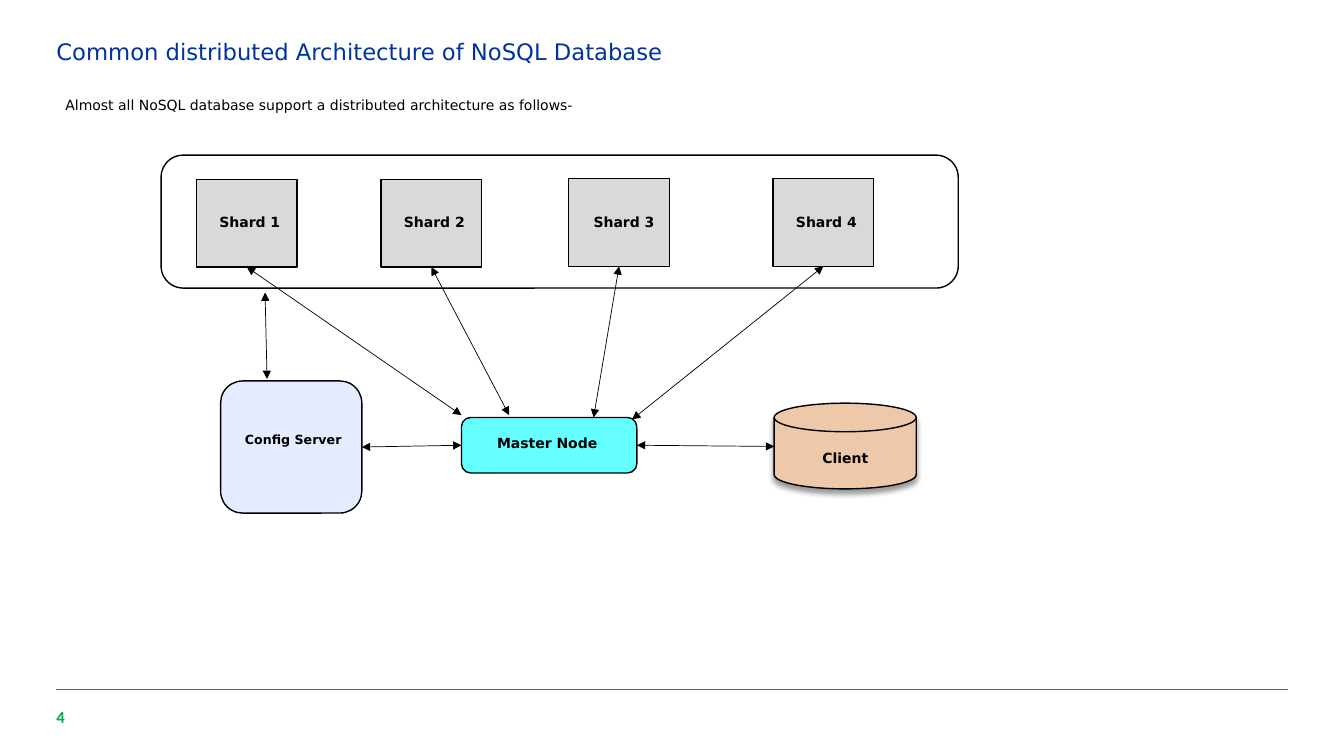
"""Builds the slide on the distributed architecture of NoSQL databases."""
from lxml import etree
from pptx import Presentation
from pptx import util as u
from pptx.dml.color import RGBColor
from pptx.enum import shapes, text
from pptx.oxml import ns

BLACK = RGBColor(0x00, 0x00, 0x00)
BLUE = RGBColor(0x00, 0x33, 0xA0)
GREEN = RGBColor(0x00, 0xB1, 0x40)
RULE = RGBColor(0x60, 0x60, 0x60)
GREY = RGBColor(0xD9, 0xD9, 0xD9)
PALE = RGBColor(0xE5, 0xEC, 0xFF)
CYAN = RGBColor(0x66, 0xFF, 0xFF)
PEACH = RGBColor(0xED, 0xC8, 0xA9)

ROUND = shapes.MSO_SHAPE.ROUNDED_RECTANGLE
BLOCK = shapes.MSO_SHAPE.FLOWCHART_PROCESS
DISK = shapes.MSO_SHAPE.FLOWCHART_MAGNETIC_DISK
LEFT = text.PP_ALIGN.LEFT
MID = text.PP_ALIGN.CENTER


class Board:
    """Holds the style and the current slide."""

    def __init__(self, deck):
        self.font = "DejaVu Sans"
        self.slide = deck.slides.add_slide(deck.slide_layouts[5])
        self.items = self.slide.shapes

    def group(self):
        self.items = self.slide.shapes.add_group_shape().shapes

    def place(self, item, box):
        item.left, item.top, item.width, item.height = map(u.Cm, box)

    def fill_text(self, item, words, size, color=BLACK, bold=False, align=LEFT, font=None):
        frame = item.text_frame
        frame.word_wrap = True
        frame.auto_size = text.MSO_AUTO_SIZE.NONE
        line = frame.paragraphs[0]
        line.text = words
        line.alignment = align
        line.font.name = font or self.font
        line.font.size = u.Pt(size)
        line.font.bold = bold
        line.font.color.rgb = color
        return frame

    def bare(self, frame, anchor):
        frame.margin_left = frame.margin_right = 0
        frame.margin_top = frame.margin_bottom = 0
        frame.vertical_anchor = anchor

    def title(self, words, box):
        item = self.slide.shapes.title
        self.place(item, box)
        frame = self.fill_text(item, words, 16.2, BLUE)
        frame.paragraphs[0].line_spacing = 0.9
        self.bare(frame, text.MSO_ANCHOR.TOP)

    def label(self, words, box, size=10, **style):
        item = self.items.add_textbox(*map(u.Cm, box))
        return self.fill_text(item, words, size, **style)

    def shape(self, kind, box, fill=None):
        item = self.items.add_shape(kind, *map(u.Cm, box))
        item.shadow.inherit = False
        if fill is None:
            item.fill.background()
        else:
            item.fill.solid()
            item.fill.fore_color.rgb = fill
        item.line.color.rgb = BLACK
        item.line.width = u.Pt(1)
        return item

    def shade(self, item):
        effects = item._element.spPr.find(ns.qn("a:effectLst"))
        outer = etree.SubElement(effects, ns.qn("a:outerShdw"), blurRad=str(u.Pt(4)),
                                 dist=str(u.Pt(3)), dir="5400000", rotWithShape="0")
        color = etree.SubElement(outer, ns.qn("a:srgbClr"), val=str(BLACK))
        etree.SubElement(color, ns.qn("a:alpha"), val="40000")

    def line(self, start, end, color=BLACK):
        item = self.items.add_connector(
            shapes.MSO_CONNECTOR.STRAIGHT, *map(u.Cm, start + end))
        item.line.color.rgb = color
        item.line.width = u.Pt(0.5)
        etree.SubElement(item._element.spPr, ns.qn("a:effectLst"))
        return item

    def arrow(self, start, end, tail=None, head=None):
        item = self.line(start, end)
        stroke = item._element.spPr.find(ns.qn("a:ln"))
        for tag in ("a:headEnd", "a:tailEnd"):
            etree.SubElement(stroke, ns.qn(tag), type="triangle")
        if tail:
            item.begin_connect(*tail)
        if head:
            item.end_connect(*head)


def main():
    deck = Presentation()
    deck.slide_width, deck.slide_height = u.Cm(33.87), u.Cm(19.05)
    board = Board(deck)

    board.line((1.4, 17.37), (32.46, 17.37), RULE)
    number = board.label("4", (1.42, 17.78, 0.84, 0.58), 12,
                         color=GREEN, bold=True, font="Calibri")
    board.bare(number, text.MSO_ANCHOR.MIDDLE)
    board.title("Common distributed Architecture of NoSQL Database",
                (1.42, 1.02, 31.06, 0.66))
    board.label("Almost all NoSQL database support a distributed architecture as follows-",
                (1.4, 2.31, 30.89, 0.69))

    board.group()
    config = board.shape(ROUND, (5.56, 9.6, 3.56, 3.33), PALE)
    board.shape(ROUND, (4.06, 3.91, 20.09, 3.35))
    master = board.shape(ROUND, (11.63, 10.52, 4.42, 1.4), CYAN)
    client = board.shape(DISK, (19.51, 10.16, 3.58, 2.16), PEACH)
    board.shade(client)

    wide, high = 2.54, 2.21
    shards = [
        (4.95, 4.52, 5.28, (11.63, 10.46)),
        (9.6, 4.52, 9.93, (12.83, 10.46)),
        (14.33, 4.5, 14.71, (14.96, 10.52)),
        (19.48, 4.5, 19.81, (15.93, 10.57)),
    ]
    for index, (left, top, inset, end) in enumerate(shards, 1):
        shard = board.shape(BLOCK, (left, top, wide, high), GREY)
        board.label(f"Shard {index}", (inset, 5.26, 2.3, 0.69), bold=True)
        board.arrow((left + wide / 2, top + high), end, tail=(shard, 2))

    board.label("Config Server", (5.89, 10.77, 3, 0.64), 9, bold=True, align=MID)
    board.label("Master Node", (12.04, 10.82, 3.5, 0.69), bold=True, align=MID)
    board.label("Client", (20.29, 11.2, 2.03, 0.69), bold=True, align=MID)

    board.arrow((9.12, 11.27), (11.63, 11.22), (config, 3), (master, 1))
    board.arrow((6.68, 7.37), (6.73, 9.55))
    board.arrow((16.05, 11.22), (19.51, 11.25), tail=(master, 3))

    deck.save("out.pptx")


if __name__ == "__main__":
    main()
